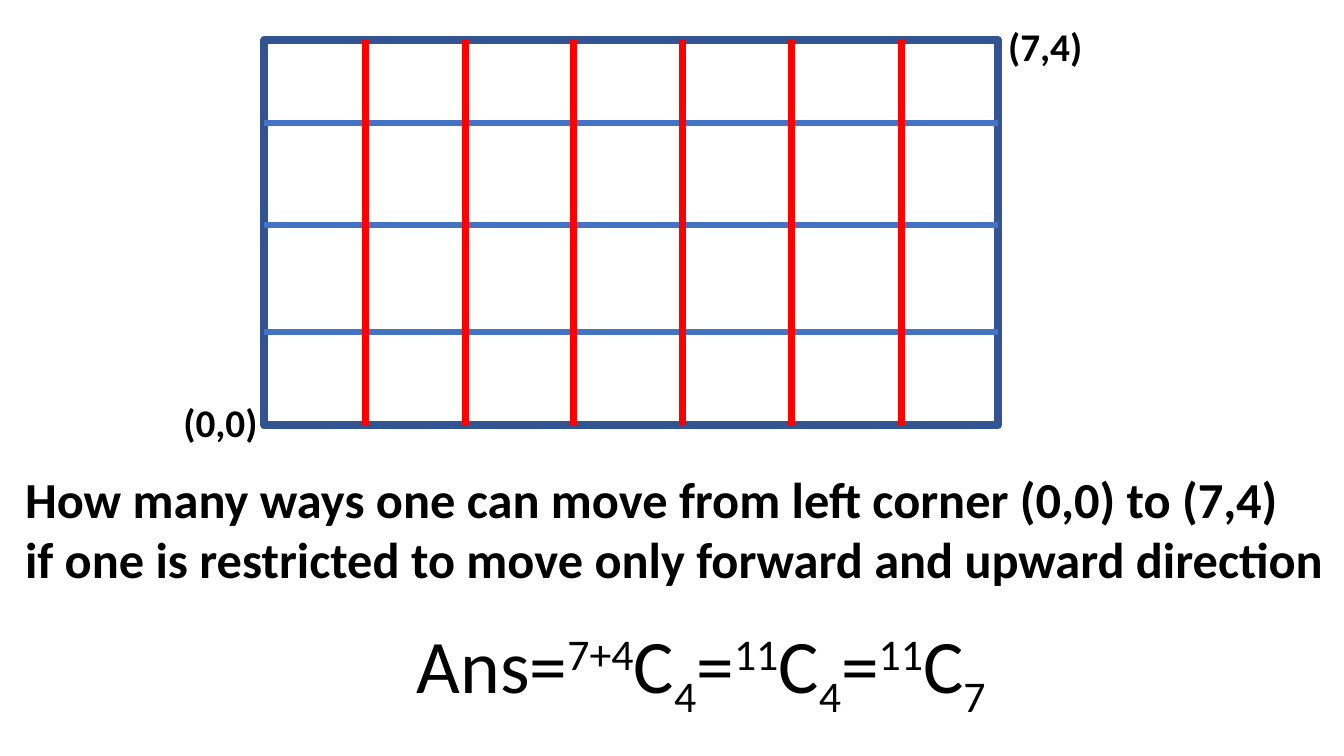
import itertools

import pptx
import pptx.dml.color
import pptx.enum.shapes
import pptx.enum.text
import pptx.oxml.ns
import pptx.util
from lxml import etree

SLIDE_WIDTH, SLIDE_HEIGHT = 13.33, 7.5
COLUMN_WIDTHS = (1.01, 0.99, 1.07, 1.08, 1.08, 1.09, 0.96)
ROW_HEIGHTS = (0.82, 1.01, 1.06, 0.93)
BORDER, ROW_LINE, COLUMN_LINE, INK = "325491", "4472C4", "FF0000", "000000"
SUPER, SUB = 30, -25
LEFT = pptx.enum.text.PP_ALIGN.LEFT
CENTER = pptx.enum.text.PP_ALIGN.CENTER


def color(hex_value):
    return pptx.dml.color.RGBColor.from_string(hex_value)


def inches(*lengths):
    return [pptx.util.Inches(length) for length in lengths]


def style_line(line, hex_value, points):
    line.color.rgb = color(hex_value)
    line.width = pptx.util.Pt(points)


def add_grid_line(lattice, start, end, hex_value, points):
    street = lattice.shapes.add_connector(
        pptx.enum.shapes.MSO_CONNECTOR.STRAIGHT, *inches(*start, *end))
    style_line(street.line, hex_value, points)
    etree.SubElement(street._element.spPr, pptx.oxml.ns.qn("a:effectLst"))


def add_lattice(slide, left, top):
    right, bottom = left + sum(COLUMN_WIDTHS), top + sum(ROW_HEIGHTS)
    lattice = slide.shapes.add_group_shape()
    border = lattice.shapes.add_shape(
        pptx.enum.shapes.MSO_SHAPE.RECTANGLE,
        *inches(left, top, right - left, bottom - top))
    border.shadow.inherit = False
    border.fill.background()
    style_line(border.line, BORDER, 5.75)
    for offset in itertools.accumulate(ROW_HEIGHTS[:-1]):
        add_grid_line(lattice, (left, top + offset), (right, top + offset), ROW_LINE, 4.25)
    for offset in itertools.accumulate(COLUMN_WIDTHS[:-1]):
        add_grid_line(lattice, (left + offset, top), (left + offset, bottom), COLUMN_LINE, 5)
    return right, bottom


def add_text(slide, box, paragraphs, size, bold=False, align=LEFT, wrap=True):
    frame = slide.shapes.add_textbox(*inches(*box)).text_frame
    frame.word_wrap = wrap
    frame.auto_size = pptx.enum.text.MSO_AUTO_SIZE.SHAPE_TO_FIT_TEXT
    for index, pieces in enumerate(paragraphs):
        paragraph = frame.add_paragraph() if index else frame.paragraphs[0]
        paragraph.alignment = align
        for words, baseline in pieces:
            run = paragraph.add_run()
            run.text = words
            run.font.name = "Calibri"
            run.font.size = pptx.util.Pt(size)
            run.font.bold = bold
            run.font.color.rgb = color(INK)
            if baseline:
                run._r.get_or_add_rPr().set("baseline", str(baseline * 1000))


def add_corner(slide, left, top, coordinates):
    add_text(slide, (left, top, 0.95, 0.57), [[(coordinates, 0)]], 28, bold=True, wrap=False)


def add_question(slide, box):
    lines = (
        "How many ways one can move from left corner (0,0) to (7,4)",
        "if one is restricted to move only forward and upward direction",
    )
    add_text(slide, box, [[(line, 0)] for line in lines], 36, bold=True)


def add_answer(slide, box):
    pieces = [("Ans", 0)]
    for total, chosen in (("7+4", "4"), ("11", "4"), ("11", "7")):
        pieces += [("=", 0), (total, SUPER), ("C", 0), (chosen, SUB)]
    add_text(slide, box, [pieces], 54, align=CENTER)


def build_lattice_slide(deck):
    slide = deck.slides.add_slide(deck.slide_layouts[6])
    left, top = 2.62, 0.4
    right, bottom = add_lattice(slide, left, top)
    add_question(slide, (0.15, 4.59, 13.23, 1.31))
    add_corner(slide, right, top - 0.23, "(7,4)")
    add_corner(slide, left - 0.9, bottom - 0.32, "(0,0)")
    add_answer(slide, (3.07, 6.08, 7.77, 1.01))


def main():
    deck = pptx.Presentation()
    deck.slide_width, deck.slide_height = inches(SLIDE_WIDTH, SLIDE_HEIGHT)
    build_lattice_slide(deck)
    deck.save("out.pptx")


if __name__ == "__main__":
    main()
